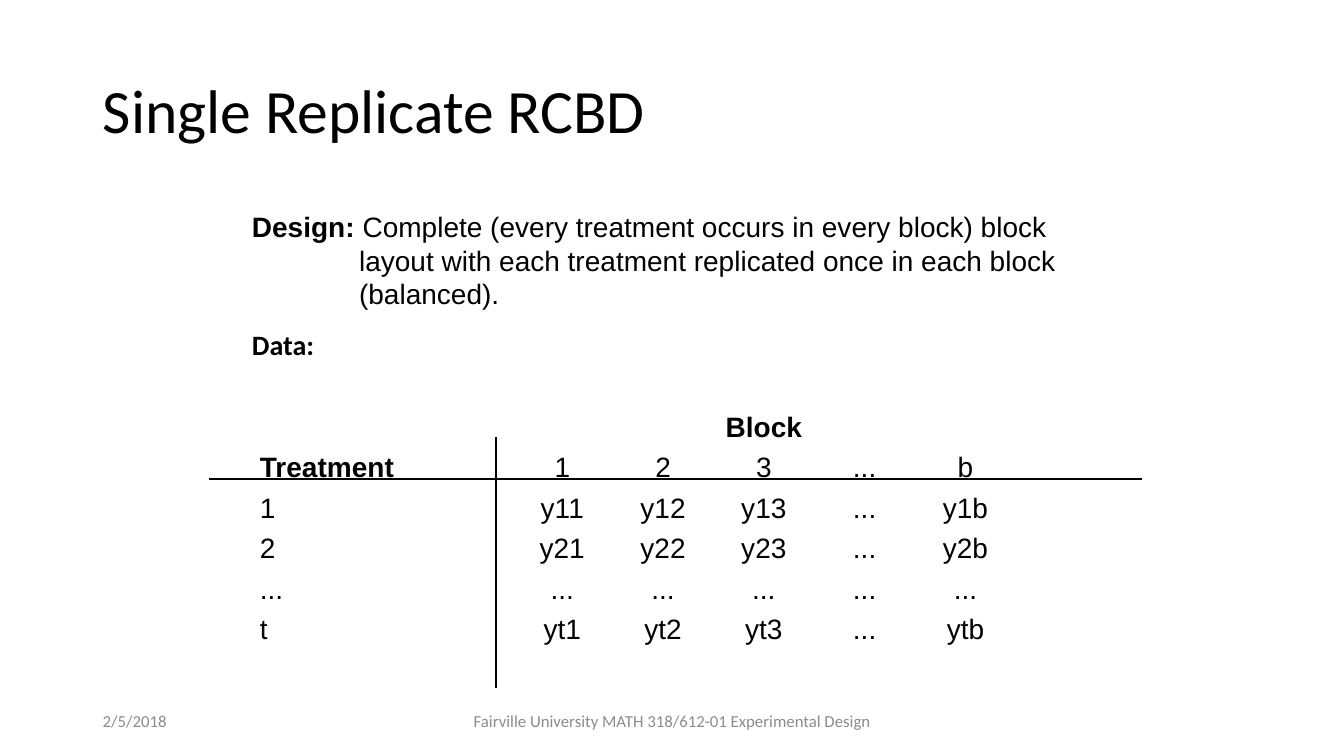
import pptx
import pptx.dml.color
import pptx.enum.shapes
import pptx.enum.text
import pptx.oxml
import pptx.util

Cm = pptx.util.Cm
Pt = pptx.util.Pt
ANCHOR = pptx.enum.text.MSO_ANCHOR
ALIGN = pptx.enum.text.PP_ALIGN

BLACK = pptx.dml.color.RGBColor(0x00, 0x00, 0x00)
GRAY = pptx.dml.color.RGBColor(0x8C, 0x8C, 0x8C)

TITLE_FORMAT = {"name": "Calibri", "size": Pt(44)}
BODY_FORMAT = {"name": "Arial", "size": Pt(20)}
BODY_BOLD = {**BODY_FORMAT, "bold": True}
LABEL_FORMAT = {"name": "Calibri", "size": Pt(20), "bold": True}
FOOTER_FORMAT = {"name": "Calibri", "size": Pt(12)}

DATA_ROWS = [
    ["", "Block", "", "", "", ""],
    ["Treatment", "1", "2", "3", "...", "b"],
    ["1", "y11", "y12", "y13", "...", "y1b"],
    ["2", "y21", "y22", "y23", "...", "y2b"],
    ["...", "...", "...", "...", "...", "..."],
    ["t", "yt1", "yt2", "yt3", "...", "ytb"],
]
BOLD_WORDS = ("Block", "Treatment")


def add_run(paragraph, text, font_format, color=BLACK):
    run = paragraph.add_run()
    run.text = text
    for name, value in font_format.items():
        setattr(run.font, name, value)
    run.font.color.rgb = color


def add_text(slide, box, runs, color=BLACK, wrap=True, anchor=ANCHOR.TOP, **paragraph_format):
    """Add a one-paragraph text box and return its paragraph."""
    frame = slide.shapes.add_textbox(*map(Cm, box)).text_frame
    frame.word_wrap = wrap
    frame.vertical_anchor = anchor
    paragraph = frame.paragraphs[0]
    for name, value in paragraph_format.items():
        setattr(paragraph, name, value)
    for text, font_format in runs:
        add_run(paragraph, text, font_format, color)
    return paragraph


def add_rule(slide, *ends):
    line = slide.shapes.add_connector(
        pptx.enum.shapes.MSO_CONNECTOR.STRAIGHT, *map(Cm, ends))
    line.line.color.rgb = BLACK
    line.line.width = Pt(1)
    properties = line.element.spPr
    properties.append(pptx.oxml.parse_xml(
        '<a:effectLst xmlns:a="http://schemas.openxmlformats.org/drawingml/2006/main"/>'))


def add_title(slide, box):
    add_text(slide, box, [("Single Replicate RCBD", TITLE_FORMAT)],
             anchor=ANCHOR.MIDDLE, line_spacing=0.9)


def add_design(slide, box):
    """Add the design definition with a hanging indent, and the data label below."""
    left, top, width, height = box
    paragraph = add_text(slide, box, [
        ("Design:", BODY_BOLD),
        (" Complete (every treatment occurs in every block) block layout with each "
         "treatment replicated once in each block (balanced).", BODY_FORMAT),
    ])
    properties = paragraph._p.get_or_add_pPr()
    for name, value in {"marL": Cm(2.7), "indent": Cm(-2.7)}.items():
        properties.set(name, str(value))
    add_text(slide, (left, top + height + 0.15, 2.11, 1.12),
             [("Data:", LABEL_FORMAT)], wrap=False)


def add_data_table(slide, box):
    left, top, width, height = box
    block_width = 2.54
    block_count = len(DATA_ROWS[0]) - 1
    label_width = width - block_count * block_width
    table = slide.shapes.add_table(
        len(DATA_ROWS), block_count + 1, *map(Cm, box)).table
    table.first_row = False
    table.horz_banding = False
    for index, column in enumerate(table.columns):
        column.width = Cm(block_width if index else label_width)
    cell_format = {"margin_left": Cm(0.25), "margin_right": Cm(0.25),
                   "margin_top": 0, "margin_bottom": 0,
                   "vertical_anchor": ANCHOR.MIDDLE}
    for row_index, row in enumerate(DATA_ROWS):
        for column_index, text in enumerate(row):
            cell = table.cell(row_index, column_index)
            cell.fill.background()
            for name, value in cell_format.items():
                setattr(cell, name, value)
            paragraph = cell.text_frame.paragraphs[0]
            paragraph.alignment = ALIGN.CENTER if column_index else ALIGN.LEFT
            paragraph.font.size = BODY_FORMAT["size"]
            if text:
                add_run(paragraph, text, BODY_BOLD if text in BOLD_WORDS else BODY_FORMAT)
    table.cell(0, 1).merge(table.cell(0, block_count))

    rule_y = top + 1.81
    rule_x = left + label_width - 0.4
    add_rule(slide, left - 1.02, rule_y, left + width + 3.18, rule_y)
    add_rule(slide, rule_x, top + 0.74, rule_x, top + height + 0.97)


def add_footer(slide, box):
    left, top, width, height = box
    add_text(slide, (left, top, 7.62, height), [("2/5/2018", FOOTER_FORMAT)],
             color=GRAY, anchor=ANCHOR.MIDDLE)
    center_width = 11.43
    add_text(slide, (left + (width - center_width) / 2, top, center_width, height),
             [("Fairville University MATH 318/612-01 Experimental Design", FOOTER_FORMAT)],
             color=GRAY, anchor=ANCHOR.MIDDLE, alignment=ALIGN.CENTER)


def main():
    presentation = pptx.Presentation()
    presentation.slide_width = Cm(33.87)
    presentation.slide_height = Cm(19.05)
    slide = presentation.slides.add_slide(presentation.slide_layouts[6])
    add_title(slide, (2.34, 1.02, 29.21, 3.68))
    add_design(slide, (6.1, 5.16, 21.84, 2.82))
    add_data_table(slide, (6.3, 10.26, 19.3, 6.12))
    add_footer(slide, (2.34, 17.65, 29.21, 1.02))
    presentation.save("out.pptx")


if __name__ == "__main__":
    main()
